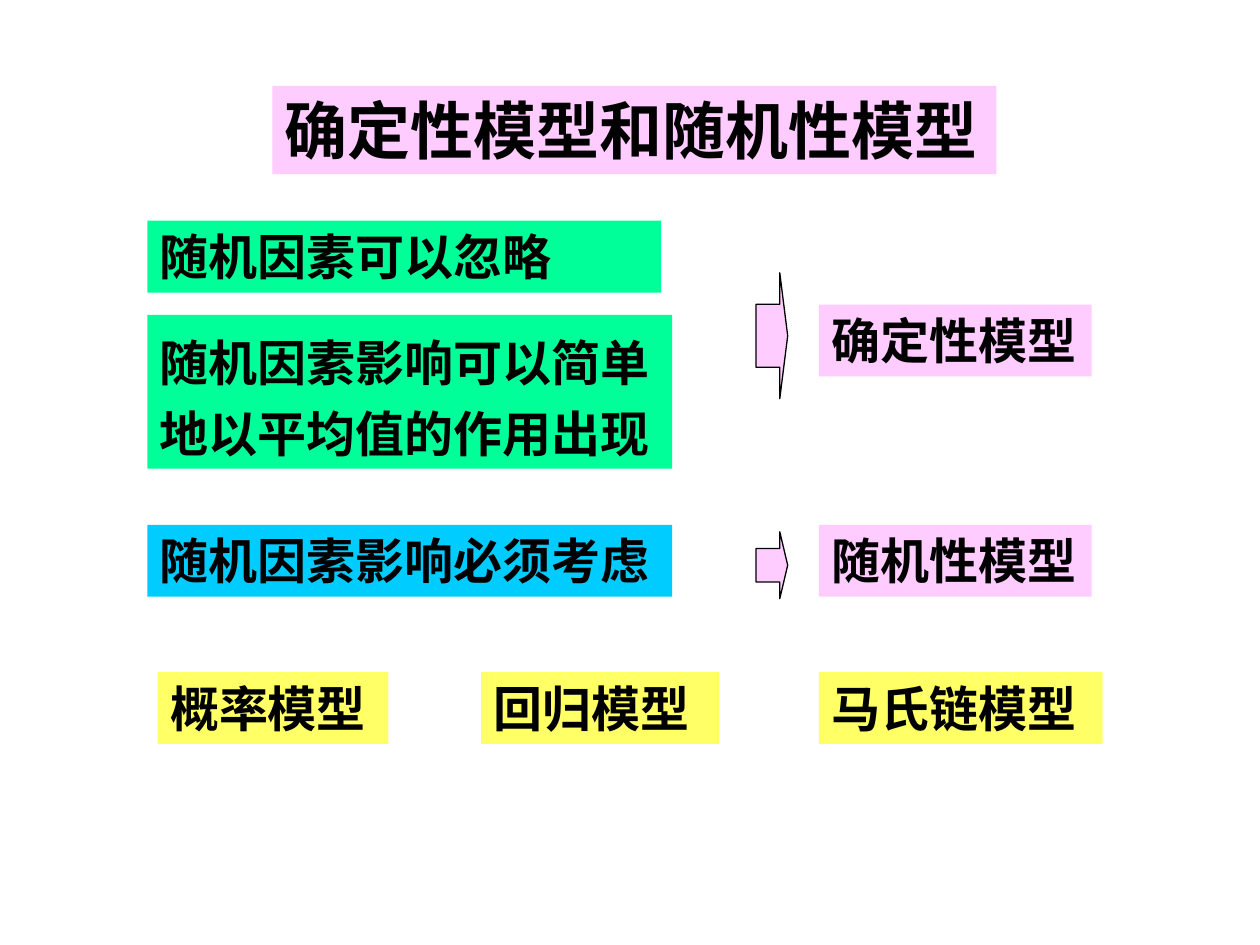
from pptx import Presentation
from pptx.dml.color import RGBColor
from pptx.enum.shapes import MSO_SHAPE
from pptx.enum.text import MSO_ANCHOR, MSO_AUTO_SIZE, PP_ALIGN
from pptx.util import Cm, Pt

COLOURS = {
    "pink": "FFCCFF",
    "green": "00FF99",
    "blue": "00CCFF",
    "yellow": "FFFF66",
    "black": "000000",
}
FONT = "Times New Roman"
LABEL_HEIGHT = 1.45
CAUSE_LEFT = 2.97
ARROW_LEFT = 15.24
MODEL_LEFT = 16.51
EXAMPLE_TOP = 13.55


def colour(name):
    """Return the named colour."""
    return RGBColor.from_string(COLOURS[name])


def add_filled(shapes, kind, place, fill):
    """Add a flat filled shape at (left, top, width, height) in cm."""
    shape = shapes.add_shape(kind, *(Cm(length) for length in place))
    shape.shadow.inherit = False
    shape.fill.solid()
    shape.fill.fore_color.rgb = colour(fill)
    return shape


def add_label(shapes, text, place, fill, size=28, line_spacing=None):
    """Add a borderless coloured box with bold text."""
    box = add_filled(shapes, MSO_SHAPE.RECTANGLE, place, fill)
    box.line.fill.background()
    frame = box.text_frame
    frame.text = text
    frame.word_wrap = True
    frame.auto_size = MSO_AUTO_SIZE.SHAPE_TO_FIT_TEXT
    frame.vertical_anchor = MSO_ANCHOR.TOP
    para = frame.paragraphs[0]
    para.alignment = PP_ALIGN.LEFT
    para.space_before = Pt(size * 0.625)
    para.line_spacing = line_spacing
    font = para.runs[0].font
    font.name, font.size, font.bold = FONT, Pt(size), True
    font.color.rgb = colour("black")


def add_conclusion(page, text, top, arrow_top, arrow_height):
    """Add a group of a model label and the arrow leading to it."""
    shapes = page.shapes.add_group_shape().shapes
    add_label(shapes, text, (MODEL_LEFT, top, 5.5, LABEL_HEIGHT), "pink")
    arrow = add_filled(shapes, MSO_SHAPE.RIGHT_ARROW,
                       (ARROW_LEFT, arrow_top, 0.64, arrow_height), "pink")
    arrow.adjustments[0] = 0.5
    arrow.adjustments[1] = 0.25
    arrow.line.color.rgb = colour("black")
    arrow.line.width = Pt(0.74)


def main():
    """Build the slide and save it."""
    deck = Presentation()
    deck.slide_width, deck.slide_height = Cm(25.4), Cm(19.05)
    page = deck.slides.add_slide(deck.slide_layouts[6])
    shapes = page.shapes

    add_label(shapes, "确定性模型和随机性模型", (5.49, 1.73, 14.6, 1.78), "pink", size=36)

    add_label(shapes, "随机因素可以忽略",
              (CAUSE_LEFT, 4.45, 10.36, LABEL_HEIGHT), "green")
    add_label(shapes, "随机因素影响可以简单地以平均值的作用出现",
              (CAUSE_LEFT, 6.35, 10.58, 3.1), "green", line_spacing=1.2)
    add_label(shapes, "随机因素影响必须考虑",
              (CAUSE_LEFT, 10.58, 10.58, LABEL_HEIGHT), "blue")

    examples = [("概率模型", 3.18, 4.65), ("回归模型", 9.7, 4.8),
                ("马氏链模型", MODEL_LEFT, 5.72)]
    for text, left, width in examples:
        add_label(shapes, text, (left, EXAMPLE_TOP, width, LABEL_HEIGHT), "yellow")

    add_conclusion(page, "确定性模型", 6.14, 5.5, 2.54)
    add_conclusion(page, "随机性模型", 10.58, 10.72, 1.35)

    deck.save("out.pptx")


main()
